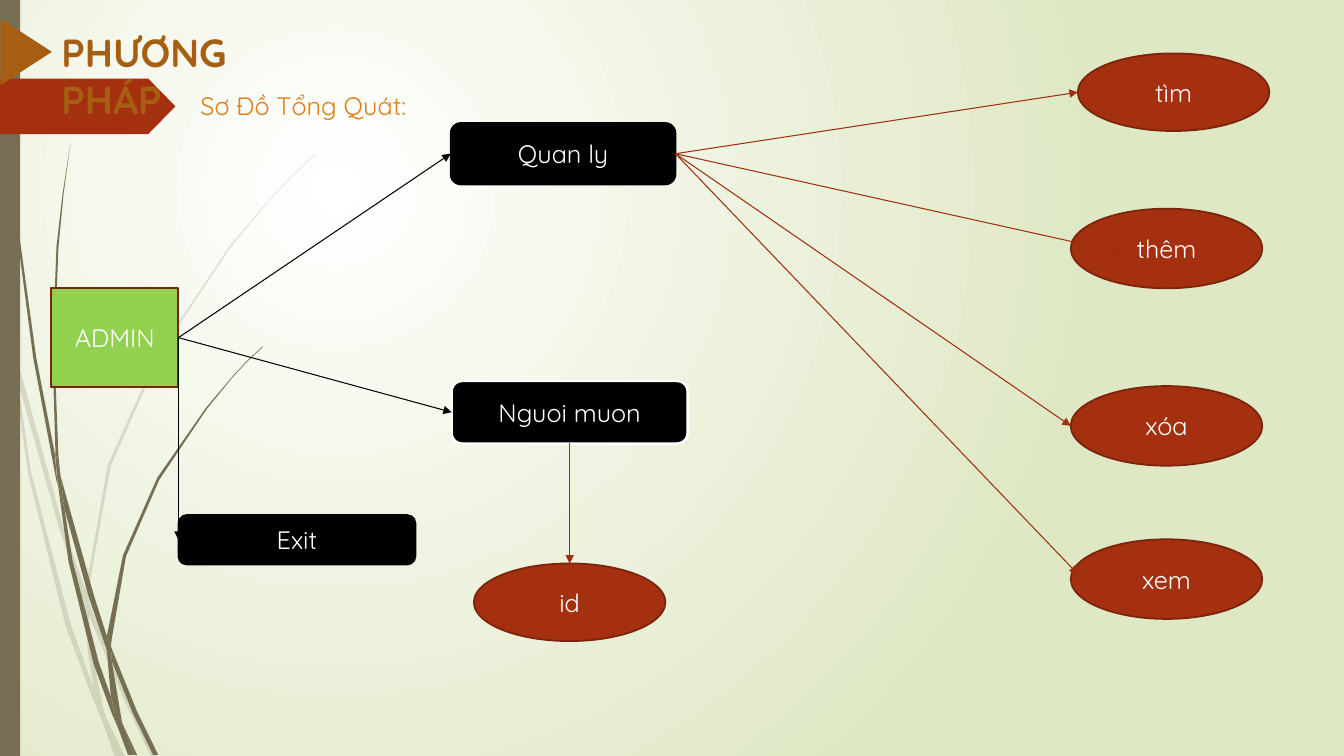
from dataclasses import dataclass
from lxml import etree
from pptx import Presentation
from pptx.dml.color import RGBColor
from pptx.enum.shapes import MSO_CONNECTOR, MSO_SHAPE
from pptx.enum.text import MSO_ANCHOR, PP_ALIGN
from pptx.oxml.ns import qn
from pptx.util import Inches, Pt

RECT, ROUND, OVAL = MSO_SHAPE.RECTANGLE, MSO_SHAPE.ROUNDED_RECTANGLE, MSO_SHAPE.OVAL
PLATE, WEDGE = MSO_SHAPE.PENTAGON, MSO_SHAPE.FLOWCHART_EXTRACT
STRAIGHT = MSO_CONNECTOR.STRAIGHT
MIDDLE, CENTER = MSO_ANCHOR.MIDDLE, PP_ALIGN.CENTER
COLS, ROWS = 13.33, 7.5


@dataclass(frozen=True)
class Theme:
    font: str = "Quicksand"
    title: int = 28
    body: int = 18
    white: str = "FFFFFF"
    black: str = "000000"
    pale: str = "DFE8C4"
    olive: str = "766F54"
    red: str = "A53010"
    edge: str = "7A240C"
    wire: str = "9E2E0F"
    brown: str = "A65E12"
    orange: str = "DE7E18"
    green: str = "92D050"


T = Theme()

FAINT = [
    [(.11, 3.5), (.09, 3.22), (0, 2.82), (0, 2.99), (.1, 3.44)],
    [(.58, 5.22), (.84, 5.99), (.85, 5.86), (.62, 5.2), (.14, 3.45), (.17, 3.76)],
    [(.92, 6.07), (.88, 5.96), (.88, 6.1), (1.23, 6.94), (1.5, 7.51), (1.55, 7.51),
     (1.27, 6.92)],
    [(1.19, 7.51), (1.24, 7.51), (1.05, 7.11)],
    [(.93, 6.83), (.7, 6.19), (.31, 4.69), (.17, 3.76), (.11, 3.5), (.28, 4.7),
     (.65, 6.21), (.92, 6.93), (1.01, 7.14), (.99, 7.07)],
    [(.84, 5.99), (.87, 6.46), (.93, 6.83), (.96, 6.92), (1.05, 7.11), (1.03, 7.06),
     (.91, 6.46), (.88, 6.1), (.88, 6.08)],
    [(.88, 5.84), (1.1, 4.62), (1.6, 3.49), (2.29, 2.45), (2.68, 1.98), (2.9, 1.75),
     (3.12, 1.54), (3.12, 1.53), (2.89, 1.75), (2.68, 1.97), (2.28, 2.44),
     (1.58, 3.48), (1.07, 4.61), (.85, 5.84), (.85, 5.86), (.88, 5.96)],
    [(1.01, 7.14), (1.14, 7.51), (1.19, 7.51)],
    [(.88, 6.08), (.88, 6.1), (.88, 5.96), (.85, 5.86), (.84, 5.99)],
    [(.96, 6.92), (.93, 6.83), (.99, 7.07), (1.01, 7.14), (1.19, 7.51), (1.05, 7.11)],
]
SOLID = [
    [(.07, 1.1), (.17, 2.33), (.33, 3.55), (.56, 4.77), (.57, 4.81), (.55, 4.57),
     (.55, 4.53), (.36, 3.55), (.19, 2.32), (.08, 1.09), (.05, .48), (.04, 0),
     (.03, 0), (.04, .48)],
    [(.88, 5.92), (1.06, 6.45), (1.06, 6.33), (1.06, 6.31), (.93, 5.9), (.6, 4.72),
     (.64, 5.05)],
    [(1.13, 6.49), (1.1, 6.41), (1.11, 6.56), (1.32, 7.08), (1.52, 7.49),
     (1.57, 7.49), (1.36, 7.06)],
    [(1.1, 6.91), (.98, 6.57), (.72, 5.56), (.64, 5.05), (.57, 4.77), (.68, 5.57),
     (.93, 6.59), (1.11, 7.08), (1.17, 7.22), (1.16, 7.17)],
    [(.6, 4.72), (.58, 4.53), (.54, 3.49), (.58, 2.45), (.63, 1.93), (.7, 1.41),
     (.62, 1.93), (.56, 2.45), (.52, 3.49), (.55, 4.49)],
    [(1.33, 7.49), (1.36, 7.49), (1.22, 7.19)],
    [(.57, 4.77), (.64, 5.05), (.6, 4.72), (.55, 4.49), (.55, 4.53)],
    [(1.11, 6.33), (1.25, 5.52), (1.58, 4.76), (2.05, 4.06), (2.31, 3.74),
     (2.45, 3.59), (2.61, 3.44), (2.6, 3.44), (2.45, 3.58), (2.31, 3.73),
     (2.04, 4.05), (1.56, 4.74), (1.22, 5.51), (1.06, 6.31), (1.1, 6.41)],
    [(1.17, 7.22), (1.27, 7.49), (1.31, 7.49)],
    [(1.06, 6.45), (1.1, 6.91), (1.16, 7.06), (1.22, 7.19), (1.21, 7.16),
     (1.11, 6.56), (1.09, 6.51)],
    [(1.06, 6.45), (1.09, 6.51), (1.11, 6.56), (1.1, 6.41), (1.06, 6.31), (1.06, 6.33)],
    [(1.16, 7.06), (1.1, 6.91), (1.16, 7.17), (1.17, 7.22), (1.3, 7.49),
     (1.33, 7.49), (1.22, 7.19)],
]

NODES = {
    "ADMIN": (RECT, .51, 2.86, 1.26, .98, T.green, T.edge, 1.25),
    "Quan ly": (ROUND, 4.47, 1.22, 2.23, .61, T.black, T.black, 1.25),
    "Nguoi muon": (ROUND, 4.48, 3.78, 2.34, .62, T.black, T.white, 1.75),
    "Exit": (ROUND, 1.77, 5.11, 2.35, .49, T.black, T.black, 1.25),
}
OVALS = {"tìm": (10.69, .53, .77), "thêm": (10.62, 2.07, .79),
         "xóa": (10.62, 3.83, .79), "xem": (10.62, 5.35, .79), "id": (4.7, 5.59, .77)}
NODES.update({name: (OVAL, x, y, 1.9, h, T.red, T.edge, 1.25)
              for name, (x, y, h) in OVALS.items()})
LINKS = [
    ("ADMIN", "Quan ly", T.black, 0, 0),
    ("ADMIN", "Nguoi muon", T.black, 0, 0),
    ("ADMIN", "Exit", T.black, 0, 0),
    ("Quan ly", "tìm", T.wire, 0, 0),
    ("Quan ly", "thêm", T.wire, .5, .04),
    ("Quan ly", "xóa", T.wire, 0, 0),
    ("Quan ly", "xem", T.wire, .07, -.05),
]


def rgb(code):
    return RGBColor.from_string(code)


def paint(shape, fill, line=None, width=0):
    shape.shadow.inherit = False
    shape.fill.solid()
    shape.fill.fore_color.rgb = rgb(fill)
    if line:
        shape.line.color.rgb = rgb(line)
        shape.line.width = Pt(width)
    else:
        shape.line.fill.background()
    return shape


def block(slide, kind, box, fill, line=None, width=0):
    shape = slide.shapes.add_shape(kind, *map(Inches, box))
    return paint(shape, fill, line, width)


def write(shape, text, size, color, bold=False):
    frame = shape.text_frame
    frame.word_wrap = True
    para = frame.paragraphs[0]
    para.text = text
    para.font.name, para.font.size, para.font.bold = T.font, Pt(size), bold
    para.font.color.rgb = rgb(color)
    return frame, para


def label(slide, box, text, size, color, bold=False):
    write(slide.shapes.add_textbox(*map(Inches, box)), text, size, color, bold)


def stalks(slide, box, blades, alpha):
    left, top = box[:2]
    group = slide.shapes.add_group_shape()
    for blade in blades:
        rim = [(Inches(left + x), Inches(top + y)) for x, y in blade]
        pen = group.shapes.build_freeform(*rim[0])
        pen.add_line_segments(rim[1:], close=True)
        shape = paint(pen.convert_to_shape(), T.olive)
        if alpha < 100:
            tint = shape.element.spPr.find(".//" + qn("a:srgbClr"))
            etree.SubElement(tint, qn("a:alpha"), val=str(alpha * 1000))


def backdrop(slide, box):
    fill = slide.background.fill
    fill.gradient()
    for stop, color in zip(fill.gradient_stops, (T.white, T.pale)):
        stop.color.rgb = rgb(color)
    grad = slide.element.find(".//" + qn("a:gradFill"))
    grad.remove(grad.find(qn("a:lin")))
    glow = etree.SubElement(grad, qn("a:path"), path="circle")
    etree.SubElement(glow, qn("a:fillToRect"), l="50000", t="50000",
                     r="100000", b="100000")
    stalks(slide, box, FAINT, 20)
    stalks(slide, box, SOLID, 100)
    x, y, _, h = box
    block(slide, RECT, (x, y, .2, h), T.olive)


def header(slide, box):
    x, y = box[:2]
    plate = block(slide, PLATE, (x, y + .78, 1.74, .55), T.red)
    plate.adjustments[0] = .49
    label(slide, (x + .51, y + .23, 2.75, .57), "PHƯƠNG PHÁP", T.title, T.brown, True)
    wedge = block(slide, WEDGE, (x - .07, y + .26, .66, .51), T.brown)
    wedge.rotation = 90
    label(slide, (x + 1.89, y + .85, 2.87, .4), "Sơ Đồ Tổng Quát:", T.body, T.orange)


def arrow(slide, start, end, color):
    wire = slide.shapes.add_connector(STRAIGHT, *map(Inches, (*start, *end)))
    wire.line.color.rgb = rgb(color)
    wire.line.width = Pt(.75)
    line = wire.element.spPr.find(qn("a:ln"))
    etree.SubElement(line, qn("a:tailEnd"), type="triangle")
    etree.SubElement(wire.element.spPr, qn("a:effectLst"))


def diagram(slide, box):
    left, top = box[:2]
    spots = {}
    for name, (kind, x, y, w, h, fill, line, width) in NODES.items():
        spot = spots[name] = (left + x, top + y, w, h)
        shape = block(slide, kind, spot, fill, line, width)
        frame, para = write(shape, name, T.body, T.white)
        frame.vertical_anchor = MIDDLE
        para.alignment = CENTER
    for source, goal, color, reach, drop in LINKS:
        x, y, w, h = spots[source]
        u, v, _, k = spots[goal]
        arrow(slide, (x + w, y + h / 2), (u + reach, v + k / 2 + drop), color)
    x, y, w, h = spots["Nguoi muon"]
    arrow(slide, (x + w / 2, y + h), (x + w / 2, spots["id"][1]), T.wire)


def main():
    deck = Presentation()
    deck.slide_width, deck.slide_height = Inches(COLS), Inches(ROWS)
    slide = deck.slides.add_slide(deck.slide_layouts[6])
    page = (0, 0, COLS, ROWS)
    for region in (backdrop, header, diagram):
        region(slide, page)
    deck.save("out.pptx")


if __name__ == "__main__":
    main()
